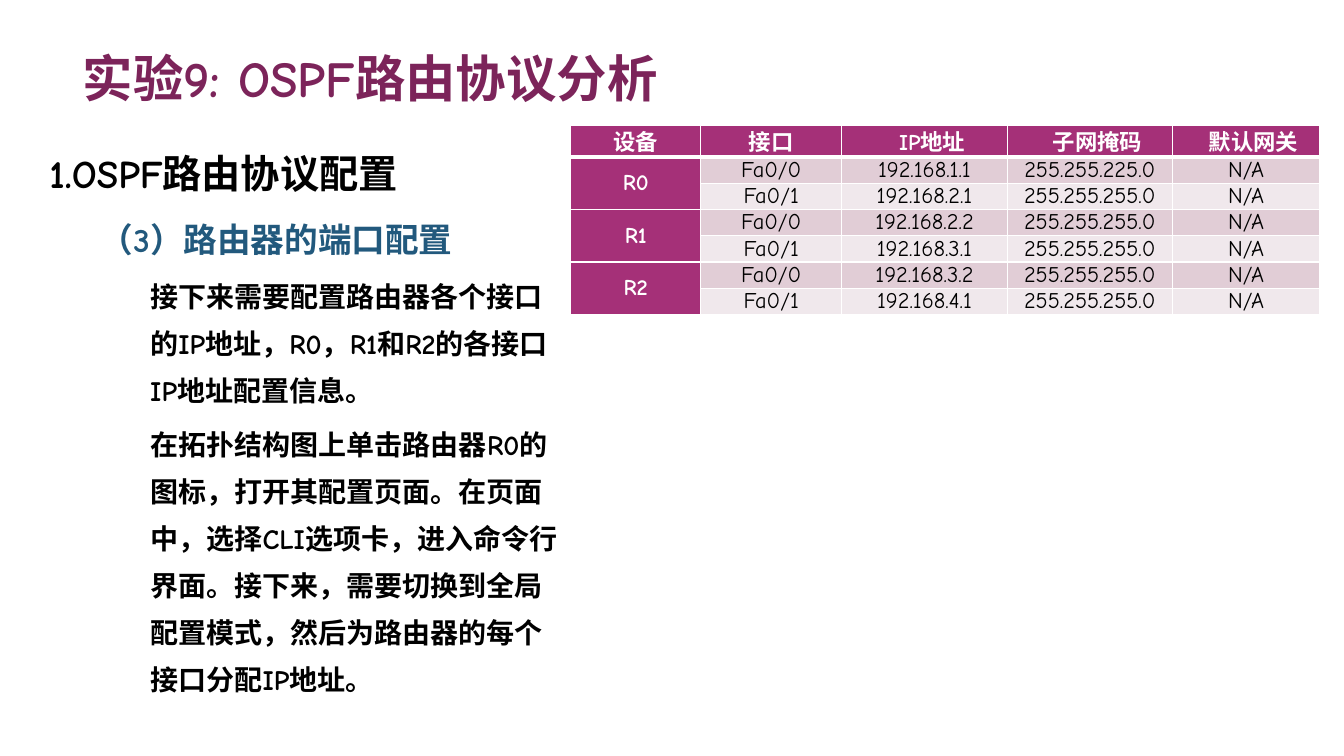
"""Build the slide on OSPF router port configuration."""
from dataclasses import dataclass

from lxml import etree
from pptx import Presentation
from pptx.dml.color import RGBColor
from pptx.enum.text import MSO_ANCHOR, MSO_AUTO_SIZE, PP_ALIGN
from pptx.oxml.ns import qn
from pptx.util import Inches, Pt

LEFT, CENTER = PP_ALIGN.LEFT, PP_ALIGN.CENTER
TOP, MIDDLE, BOTTOM = MSO_ANCHOR.TOP, MSO_ANCHOR.MIDDLE, MSO_ANCHOR.BOTTOM
NO_AUTOFIT = MSO_AUTO_SIZE.NONE

PLUM = RGBColor(0x7C, 0x24, 0x5A)
MAGENTA = RGBColor(0xA5, 0x30, 0x78)
BLUE = RGBColor(0x22, 0x59, 0x7D)
BLACK = RGBColor(0x00, 0x00, 0x00)
WHITE = RGBColor(0xFF, 0xFF, 0xFF)
ROSE = RGBColor(0xE1, 0xCD, 0xD6)
PALE_ROSE = RGBColor(0xF0, 0xE8, 0xEC)
FONT_NAME = "Comic Neue"


@dataclass
class BodyItem:
    text: str
    level: int
    size: int
    color: RGBColor
    space_before: int = 5


@dataclass
class Interface:
    name: str
    address: str
    mask: str = "255.255.255.0"
    gateway: str = "N/A"


@dataclass
class CellStyle:
    fill: RGBColor
    color: RGBColor
    bold: bool
    anchor: MSO_ANCHOR
    bottom_border: int = 1
    first_indent: float = 0


BODY_ITEMS = [
    BodyItem("1.OSPF路由协议配置", 0, 28, BLACK, 0),
    BodyItem("（3）路由器的端口配置", 1, 24, BLUE),
    BodyItem("接下来需要配置路由器各个接口的IP地址，R0，R1和R2的各接口IP地址配置信息。", 2, 20, BLACK),
    BodyItem("在拓扑结构图上单击路由器R0的图标，打开其配置页面。在页面中，选择CLI选项卡，进入命令行界面。"
             "接下来，需要切换到全局配置模式，然后为路由器的每个接口分配IP地址。", 2, 20, BLACK),
]
HEADERS = ["设备", "接口", "IP地址", "子网掩码", "默认网关"]
ROUTERS = {
    "R0": [Interface("Fa0/0", "192.168.1.1", "255.255.225.0"), Interface("Fa0/1", "192.168.2.1")],
    "R1": [Interface("Fa0/0", "192.168.2.2"), Interface("Fa0/1", "192.168.3.1")],
    "R2": [Interface("Fa0/0", "192.168.3.2"), Interface("Fa0/1", "192.168.4.1")],
}
COLUMN_WIDTHS = [1.29, 1.4, 1.64, 1.64, 1.46]
HEADER_HEIGHT, ROW_HEIGHT = 0.31, 0.26

HEADER_STYLE = CellStyle(MAGENTA, WHITE, True, MIDDLE, 3)
INDENTED_HEADER_STYLE = CellStyle(MAGENTA, WHITE, True, MIDDLE, 3, 0.15)
ROUTER_STYLE = CellStyle(MAGENTA, WHITE, True, MIDDLE)
BAND_STYLES = [CellStyle(ROSE, BLACK, False, TOP), CellStyle(PALE_ROSE, BLACK, False, TOP)]


def apply_format(target: object, values: dict) -> None:
    for name, value in values.items():
        setattr(target, name, value)


def add_text(paragraph, text: str, size: int, color: RGBColor, bold: bool = True) -> None:
    run = paragraph.add_run()
    run.text = text
    apply_format(run.font, {"name": FONT_NAME, "size": Pt(size), "bold": bold})
    run.font.color.rgb = color


def place(shape, left: float, top: float, width: float, height: float, anchor: MSO_ANCHOR) -> None:
    apply_format(shape, {"left": Inches(left), "top": Inches(top),
                         "width": Inches(width), "height": Inches(height)})
    apply_format(shape.text_frame, {"word_wrap": True, "auto_size": NO_AUTOFIT,
                                    "vertical_anchor": anchor})


def set_indent(paragraph, margin: float, first_indent: float) -> None:
    properties = paragraph._p.get_or_add_pPr()
    properties.set("marL", str(Inches(margin)))
    properties.set("indent", str(Inches(first_indent)))


def fill_title(title) -> None:
    place(title, 0.72, 0.14, 11.88, 0.98, BOTTOM)
    paragraph = title.text_frame.paragraphs[0]
    paragraph.alignment = LEFT
    add_text(paragraph, "实验9: OSPF路由协议分析", 36, PLUM)


def fill_body(body) -> None:
    place(body, 0.39, 1.24, 5.27, 5.99, TOP)
    frame = body.text_frame
    for index, item in enumerate(BODY_ITEMS):
        paragraph = frame.add_paragraph() if index else frame.paragraphs[0]
        apply_format(paragraph, {"level": item.level, "alignment": LEFT, "line_spacing": 1.4,
                                 "space_before": Pt(item.space_before), "space_after": Pt(0)})
        set_indent(paragraph, 0.5 * item.level, 0)
        etree.SubElement(paragraph._p.get_or_add_pPr(), qn("a:buNone"))
        add_text(paragraph, item.text, item.size, item.color)


def set_borders(cell, bottom: int) -> None:
    properties = cell._tc.get_or_add_tcPr()
    widths = {"a:lnL": 1, "a:lnR": 1, "a:lnT": 1, "a:lnB": bottom}
    for position, (tag, width) in enumerate(widths.items()):
        line = etree.Element(qn(tag), w=str(Pt(width)))
        solid = etree.SubElement(line, qn("a:solidFill"))
        etree.SubElement(solid, qn("a:srgbClr"), val=str(WHITE))
        properties.insert(position, line)


def style_cell(cell, text: str, style: CellStyle) -> None:
    apply_format(cell, {"margin_left": Inches(0.04), "margin_right": Inches(0.04),
                        "margin_top": 0, "margin_bottom": 0, "vertical_anchor": style.anchor})
    cell.fill.solid()
    cell.fill.fore_color.rgb = style.fill
    set_borders(cell, style.bottom_border)
    paragraph = cell.text_frame.paragraphs[0]
    paragraph.alignment = CENTER
    set_indent(paragraph, 0, style.first_indent)
    if text:
        add_text(paragraph, text, 16, style.color, style.bold)


def add_address_table(slide) -> None:
    row_count = 1 + sum(len(interfaces) for interfaces in ROUTERS.values())
    height = HEADER_HEIGHT + ROW_HEIGHT * (row_count - 1)
    table = slide.shapes.add_table(row_count, len(HEADERS), Inches(5.66), Inches(1.24),
                                   Inches(sum(COLUMN_WIDTHS)), Inches(height)).table
    for column, width in zip(table.columns, COLUMN_WIDTHS):
        column.width = Inches(width)
    for index, row in enumerate(table.rows):
        row.height = Inches(ROW_HEIGHT if index else HEADER_HEIGHT)
    for column, header in enumerate(HEADERS):
        style_cell(table.cell(0, column), header,
                   INDENTED_HEADER_STYLE if column > 1 else HEADER_STYLE)
    row = 1
    for router, interfaces in ROUTERS.items():
        first_row = row
        for interface, band_style in zip(interfaces, BAND_STYLES):
            style_cell(table.cell(row, 0), router if row == first_row else "", ROUTER_STYLE)
            values = [interface.name, interface.address, interface.mask, interface.gateway]
            for column, value in enumerate(values, start=1):
                style_cell(table.cell(row, column), value, band_style)
            row += 1
        table.cell(first_row, 0).merge(table.cell(row - 1, 0))


def main() -> None:
    presentation = Presentation()
    apply_format(presentation, {"slide_width": Inches(13.33), "slide_height": Inches(7.5)})
    slide = presentation.slides.add_slide(presentation.slide_layouts[1])
    fill_title(slide.shapes.title)
    fill_body(slide.placeholders[1])
    add_address_table(slide)
    presentation.save("out.pptx")


if __name__ == "__main__":
    main()
